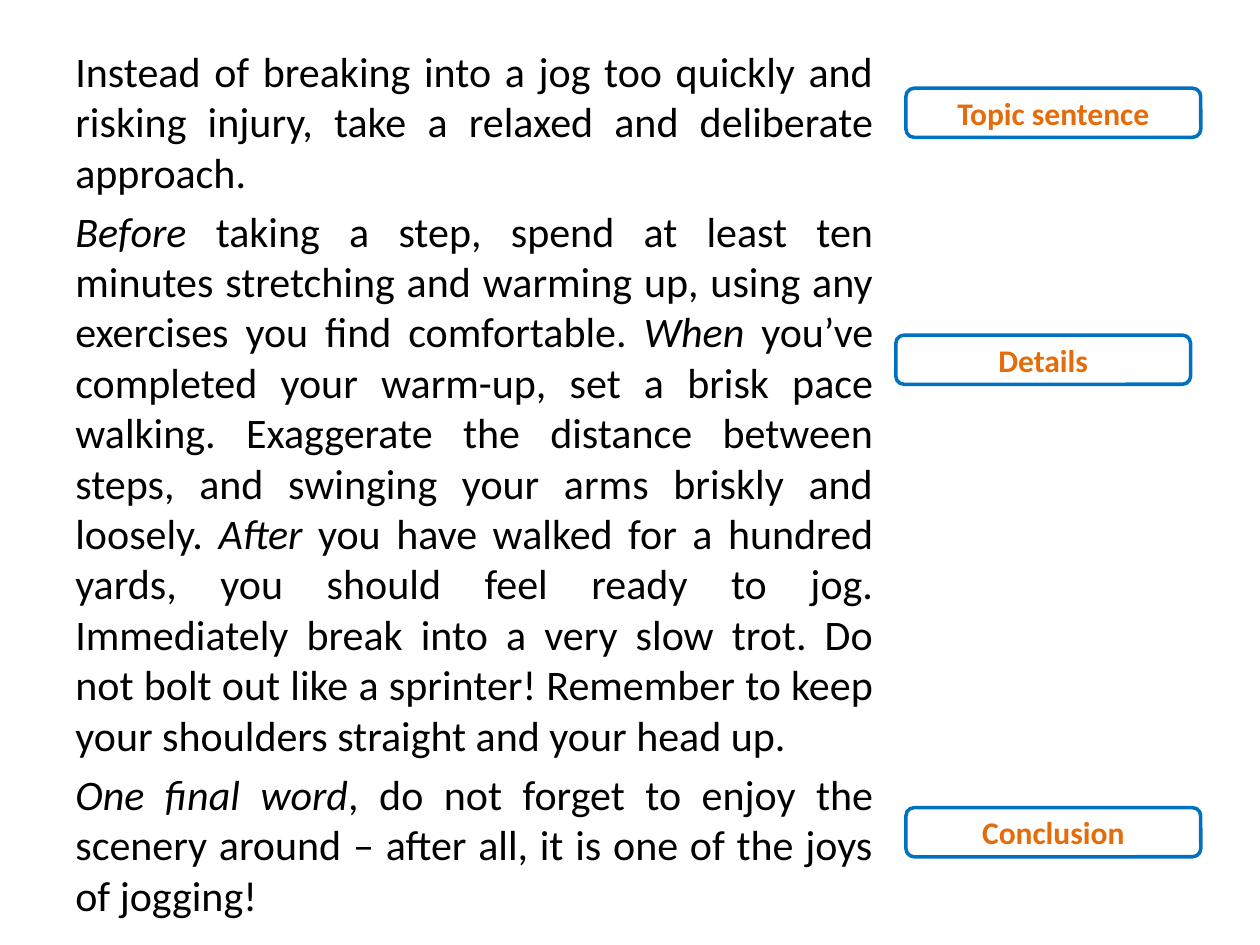
from pptx import Presentation
from pptx.dml.color import RGBColor
from pptx.enum.shapes import MSO_SHAPE
from pptx.enum.text import MSO_ANCHOR, PP_ALIGN
from pptx.util import Inches, Pt

COLORS = {"text": "000000", "label": "E46C0A", "border": "0070C0"}
FONT = "Calibri"

# Paragraphs as (text, italic) runs
ESSAY = [
    [("Instead of breaking into a jog too quickly and risking injury, "
      "take a relaxed and deliberate approach.", False)],
    [("Before", True),
     (" taking a step, spend at least ten minutes stretching and warming up, "
      "using any exercises you find comfortable. ", False),
     ("When ", True),
     ("you’ve completed your warm-up, set a brisk pace walking. Exaggerate "
      "the distance between steps, and swinging your arms briskly and "
      "loosely. ", False),
     ("After ", True),
     ("you have walked for a hundred yards, you should feel ready to jog. "
      "Immediately break into a very slow trot. Do not bolt out like a "
      "sprinter! Remember to keep your shoulders straight and your head up.",
      False)],
    [("One final word", True),
     (", do not forget to enjoy the scenery around – after all, it is one of "
      "the joys of jogging!", False)],
]

# Labels as (text, left, top)
LABELS = [
    ("Topic sentence", 7.19, 0.7),
    ("Details", 7.11, 2.66),
    ("Conclusion", 7.19, 6.41),
]
LABEL_W, LABEL_H = 2.34, 0.39


def rgb(name):
    return RGBColor.from_string(COLORS[name])


def write(frame, paras, size, color, align, bold=False, gap=0,
          anchor=MSO_ANCHOR.TOP):
    frame.word_wrap = True
    frame.vertical_anchor = anchor
    for i, runs in enumerate(paras):
        para = frame.add_paragraph() if i else frame.paragraphs[0]
        para.alignment = align
        if i:
            para.space_before = Pt(gap)
        for text, italic in runs:
            run = para.add_run()
            run.text = text
            font = run.font
            font.name, font.size = FONT, Pt(size)
            font.bold, font.italic = bold, italic
            font.color.rgb = rgb(color)


def main():
    prs = Presentation()
    prs.slide_width, prs.slide_height = Inches(10), Inches(7.5)
    slide = prs.slides.add_slide(prs.slide_layouts[6])

    # Essay
    box = slide.shapes.add_textbox(
        Inches(0.5), Inches(0.31), Inches(6.53), Inches(6.15))
    write(box.text_frame, ESSAY, 24, "text", PP_ALIGN.JUSTIFY, gap=5)

    # Labels for the parts of the essay
    for text, left, top in LABELS:
        label = slide.shapes.add_shape(
            MSO_SHAPE.ROUNDED_RECTANGLE, Inches(left), Inches(top),
            Inches(LABEL_W), Inches(LABEL_H))
        label.shadow.inherit = False
        label.fill.background()
        label.line.color.rgb = rgb("border")
        label.line.width = Pt(2)
        write(label.text_frame, [[(text, False)]], 18, "label",
              PP_ALIGN.CENTER, bold=True, anchor=MSO_ANCHOR.MIDDLE)

    prs.save("out.pptx")


if __name__ == "__main__":
    main()
